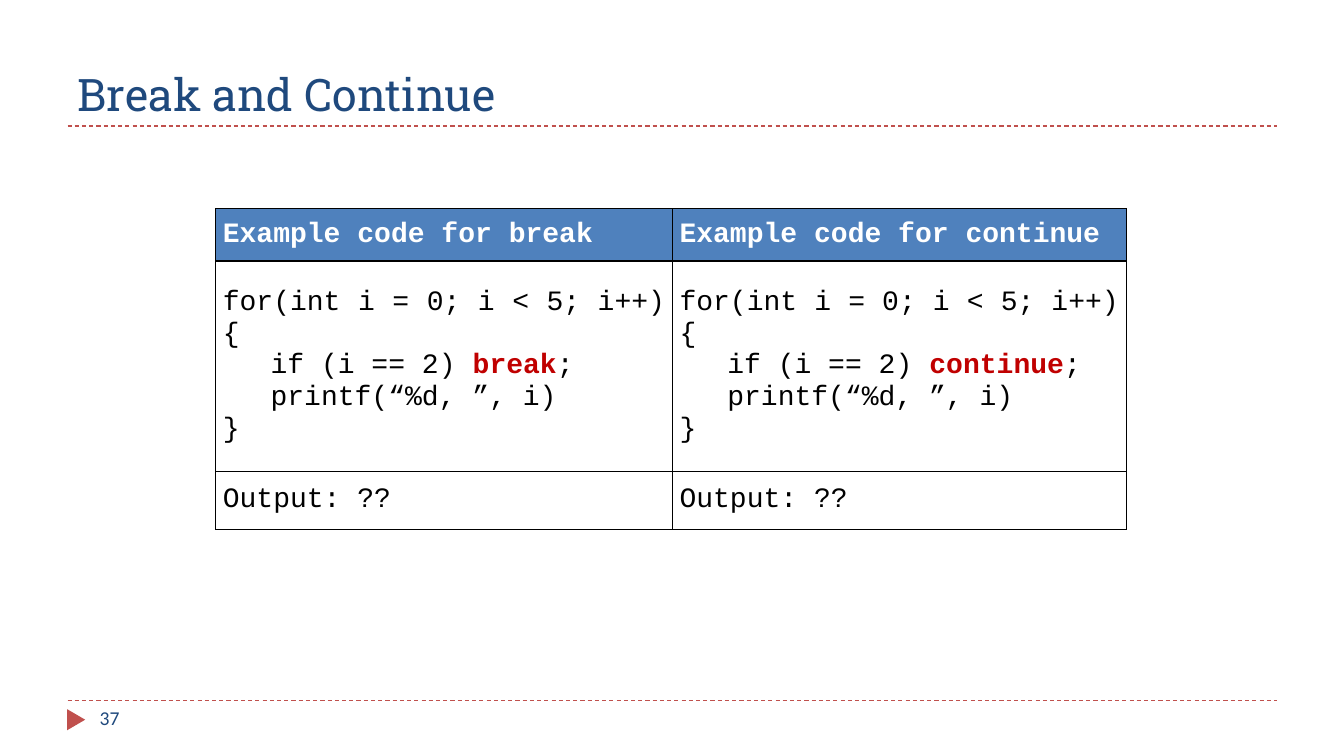
import pptx
import pptx.dml.color
import pptx.enum.dml
import pptx.enum.shapes
import pptx.enum.text
import pptx.oxml
import pptx.oxml.ns
import pptx.util
from dataclasses import dataclass
from pptx.util import Inches


@dataclass(frozen=True)
class Theme:
    navy: str = "1F497D"
    accent: str = "C0504D"
    header: str = "4F81BD"
    keyword: str = "C00000"
    black: str = "000000"
    white: str = "FFFFFF"
    title_font: str = "Roboto Slab"
    body_font: str = "Calibri"
    code_font: str = "Courier New"
    title_size: int = 32
    code_size: int = 20
    number_size: int = 14


THEME = Theme()
ANCHOR = pptx.enum.text.MSO_ANCHOR
NS = pptx.oxml.ns.nsdecls("a")


def rgb(value):
    return pptx.dml.color.RGBColor.from_string(value)


def add_run(p, text, font, size, color, bold=False):
    r = p.add_run()
    r.text = text
    r.font.name = font
    r.font.size = pptx.util.Pt(size)
    r.font.color.rgb = rgb(color)
    r.font.bold = bold


def add_rule(s, left, top, width):
    """Draw a dashed horizontal line."""
    line = s.shapes.add_connector(
        pptx.enum.shapes.MSO_CONNECTOR.STRAIGHT,
        Inches(left), Inches(top), Inches(left + width), Inches(top))
    line.line.color.rgb = rgb(THEME.accent)
    line.line.width = pptx.util.Pt(0.75)
    line.line.dash_style = pptx.enum.dml.MSO_LINE.DASH
    line._element.spPr.append(pptx.oxml.parse_xml(f"<a:effectLst {NS}/>"))


def add_title(s, text, left, top, width, height):
    add_rule(s, left, top + height, width)
    sp = s.shapes.title
    sp.left, sp.top = Inches(left), Inches(top)
    sp.width, sp.height = Inches(width), Inches(height)
    tf = sp.text_frame
    tf.auto_size = pptx.enum.text.MSO_AUTO_SIZE.NONE
    tf.vertical_anchor = ANCHOR.BOTTOM
    p = tf.paragraphs[0]
    p.alignment = pptx.enum.text.PP_ALIGN.LEFT
    add_run(p, text, THEME.title_font, THEME.title_size, THEME.navy)


def add_footer(s, number, left, top, width):
    add_rule(s, left, top, width)
    sp = s.shapes.add_shape(
        pptx.enum.shapes.MSO_SHAPE.ISOSCELES_TRIANGLE,
        Inches(left - 0.02), Inches(top + 0.1), Inches(0.21), Inches(0.18))
    sp.rotation = 90
    sp.shadow.inherit = False
    sp.fill.solid()
    sp.fill.fore_color.rgb = rgb(THEME.accent)
    sp.line.fill.background()
    box = s.shapes.add_textbox(Inches(left + 0.22), Inches(top), Inches(2.89), Inches(0.4))
    tf = box.text_frame
    tf.word_wrap = True
    add_run(tf.paragraphs[0], number, THEME.body_font, THEME.number_size, THEME.navy)


def set_borders(cell):
    tc_pr = cell._tc.get_or_add_tcPr()
    for i, side in enumerate(("lnL", "lnR", "lnT", "lnB")):
        tc_pr.insert(i, pptx.oxml.parse_xml(
            f'<a:{side} {NS} w="12700"><a:solidFill><a:srgbClr val="{THEME.black}"/>'
            f'</a:solidFill></a:{side}>'))


def fill_cell(cell, lines, header=False):
    """Write lines, each a list of (text, is_keyword) runs."""
    cell.margin_left = cell.margin_right = Inches(0.07)
    cell.margin_top = cell.margin_bottom = 0
    cell.vertical_anchor = ANCHOR.MIDDLE
    cell.fill.solid()
    cell.fill.fore_color.rgb = rgb(THEME.header if header else THEME.white)
    set_borders(cell)
    tf = cell.text_frame
    for i, runs in enumerate(lines):
        p = tf.add_paragraph() if i else tf.paragraphs[0]
        p.alignment = pptx.enum.text.PP_ALIGN.JUSTIFY
        if runs[0][0].startswith(" "):
            p._p.get_or_add_pPr().set("indent", str(Inches(0.14)))
        for text, keyword in runs:
            color = THEME.white if header else THEME.keyword if keyword else THEME.black
            add_run(p, text, THEME.code_font, THEME.code_size, color, header or keyword)


def loop_code(keyword):
    return [
        [("for(int i = 0; i < 5; i++){", False)],
        [("  if (i == 2) ", False), (keyword, True), (";", False)],
        [("  printf(“%d, ”, i)", False)],
        [("}", False)],
    ]


def add_code_table(s, keywords, left, top, widths, heights):
    table = s.shapes.add_table(
        len(heights), len(widths), Inches(left), Inches(top),
        Inches(sum(widths)), Inches(sum(heights))).table
    table.horz_banding = False
    for row, height in zip(table.rows, heights):
        row.height = Inches(height)
    for c, (keyword, width) in enumerate(zip(keywords, widths)):
        table.columns[c].width = Inches(width)
        fill_cell(table.cell(0, c), [[(f"Example code for {keyword}", False)]], header=True)
        fill_cell(table.cell(1, c), loop_code(keyword))
        fill_cell(table.cell(2, c), [[("Output: ??", False)]])


def main():
    prs = pptx.Presentation()
    prs.slide_width, prs.slide_height = Inches(13.33), Inches(7.5)
    s = prs.slides.add_slide(prs.slide_layouts.get_by_name("Title Only"))
    add_title(s, "Break and Continue", 0.67, 0.17, 12, 1.08)
    add_code_table(s, ("break", "continue"), 2.14, 2.07, (4.53, 4.5), (0.52, 2.09, 0.57))
    add_footer(s, "37", 0.67, 6.95, 12)
    prs.save("out.pptx")


if __name__ == "__main__":
    main()
